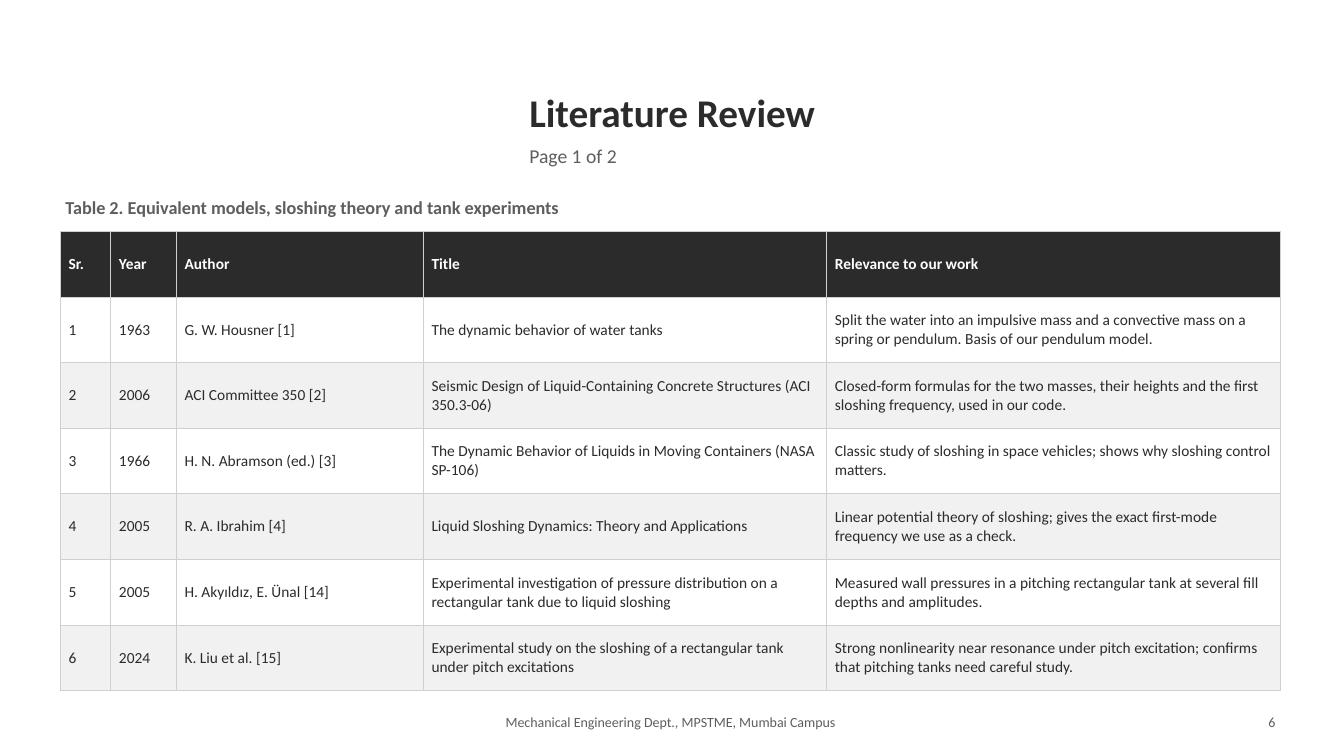
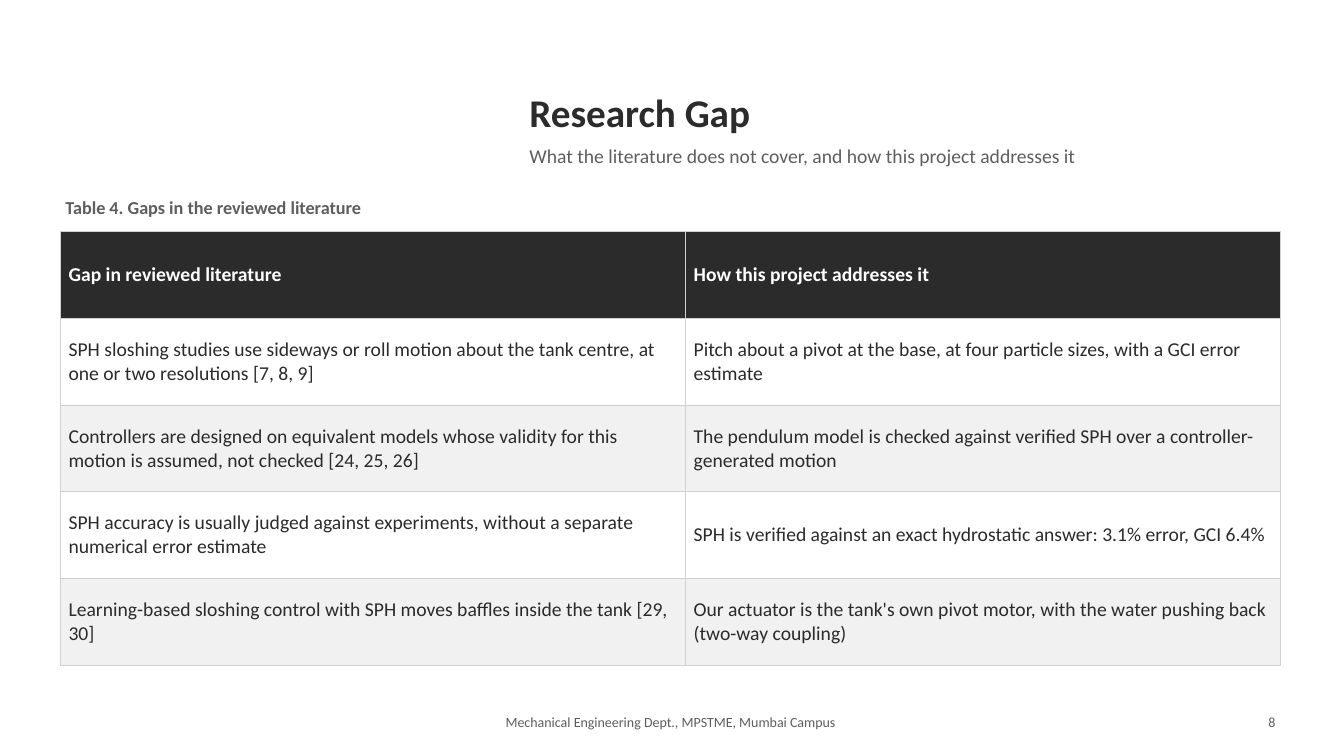
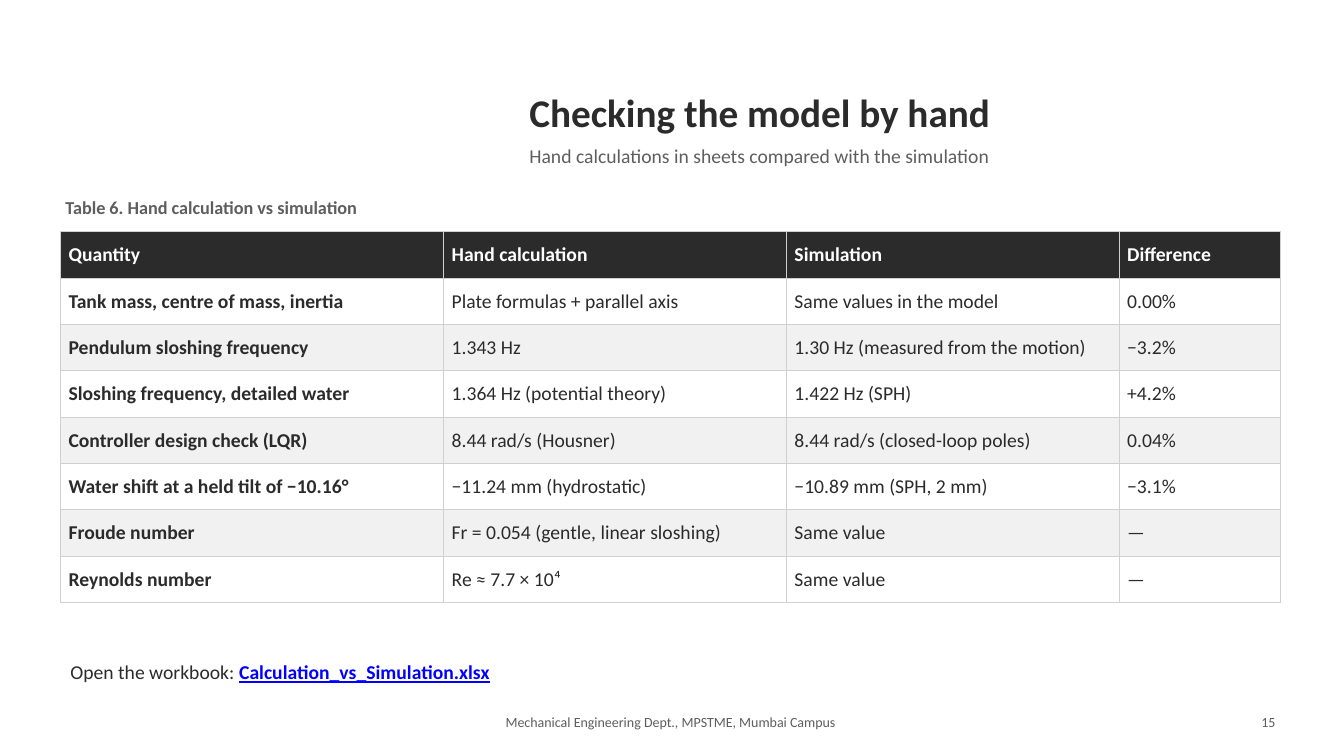
from lxml import etree
from pptx import Presentation
from pptx.dml.color import RGBColor
from pptx.enum.text import MSO_ANCHOR, MSO_AUTO_SIZE, PP_ALIGN
from pptx.oxml.ns import qn
from pptx.util import Pt

PX = 9144
FONT = "Calibri"
HEX = {
    "ink": "2B2B2B",
    "gray": "5E5E5E",
    "white": "FFFFFF",
    "band": "F1F1F1",
    "rule": "D0D0D0",
    "link": "0000FF",
}
DEPT = "Mechanical Engineering Dept., MPSTME, Mumbai Campus"
LEFT, WIDTH = 60, 1210

REVIEW = [
    ("Sr.", "Year", "Author", "Title", "Relevance to our work"),
    ("1", "1963", "G. W. Housner [1]", "The dynamic behavior of water tanks",
     "Split the water into an impulsive mass and a convective mass on a "
     "spring or pendulum. Basis of our pendulum model."),
    ("2", "2006", "ACI Committee 350 [2]",
     "Seismic Design of Liquid-Containing Concrete Structures (ACI 350.3-06)",
     "Closed-form formulas for the two masses, their heights and the first "
     "sloshing frequency, used in our code."),
    ("3", "1966", "H. N. Abramson (ed.) [3]",
     "The Dynamic Behavior of Liquids in Moving Containers (NASA SP-106)",
     "Classic study of sloshing in space vehicles; shows why sloshing "
     "control matters."),
    ("4", "2005", "R. A. Ibrahim [4]",
     "Liquid Sloshing Dynamics: Theory and Applications",
     "Linear potential theory of sloshing; gives the exact first-mode "
     "frequency we use as a check."),
    ("5", "2005", "H. Akyıldız, E. Ünal [14]",
     "Experimental investigation of pressure distribution on a rectangular "
     "tank due to liquid sloshing",
     "Measured wall pressures in a pitching rectangular tank at several "
     "fill depths and amplitudes."),
    ("6", "2024", "K. Liu et al. [15]",
     "Experimental study on the sloshing of a rectangular tank under pitch "
     "excitations",
     "Strong nonlinearity near resonance under pitch excitation; confirms "
     "that pitching tanks need careful study."),
]

GAPS = [
    ("Gap in reviewed literature", "How this project addresses it"),
    ("SPH sloshing studies use sideways or roll motion about the tank "
     "centre, at one or two resolutions [7, 8, 9]",
     "Pitch about a pivot at the base, at four particle sizes, with a GCI "
     "error estimate"),
    ("Controllers are designed on equivalent models whose validity for this "
     "motion is assumed, not checked [24, 25, 26]",
     "The pendulum model is checked against verified SPH over a "
     "controller-generated motion"),
    ("SPH accuracy is usually judged against experiments, without a separate "
     "numerical error estimate",
     "SPH is verified against an exact hydrostatic answer: 3.1% error, "
     "GCI 6.4%"),
    ("Learning-based sloshing control with SPH moves baffles inside the tank "
     "[29, 30]",
     "Our actuator is the tank's own pivot motor, with the water pushing "
     "back (two-way coupling)"),
]

CHECKS = [
    ("Quantity", "Hand calculation", "Simulation", "Difference"),
    ("Tank mass, centre of mass, inertia", "Plate formulas + parallel axis",
     "Same values in the model", "0.00%"),
    ("Pendulum sloshing frequency", "1.343 Hz",
     "1.30 Hz (measured from the motion)", "−3.2%"),
    ("Sloshing frequency, detailed water", "1.364 Hz (potential theory)",
     "1.422 Hz (SPH)", "+4.2%"),
    ("Controller design check (LQR)", "8.44 rad/s (Housner)",
     "8.44 rad/s (closed-loop poles)", "0.04%"),
    ("Water shift at a held tilt of −10.16°", "−11.24 mm (hydrostatic)",
     "−10.89 mm (SPH, 2 mm)", "−3.1%"),
    ("Froude number", "Fr = 0.054 (gentle, linear sloshing)",
     "Same value", "—"),
    ("Reynolds number", "Re ≈ 7.7 × 10⁴", "Same value", "—"),
]


def color(name):
    return RGBColor.from_string(HEX[name])


def style(para, size, ink, bold=False):
    font = para.font
    font.name = FONT
    font.size = Pt(size)
    font.bold = bold
    font.color.rgb = color(ink)


def pad(item, across, down):
    item.margin_left = item.margin_right = across * PX
    item.margin_top = item.margin_bottom = down * PX


def fill_frame(frame, text, size, ink, bold, align):
    frame.word_wrap = True
    frame.auto_size = MSO_AUTO_SIZE.SHAPE_TO_FIT_TEXT
    pad(frame, 5, 5)
    para = frame.paragraphs[0]
    para.text = text
    para.alignment = align
    para.space_after = Pt(6)
    style(para, size, ink, bold)


def add_box(slide, area):
    return slide.shapes.add_textbox(*(n * PX for n in area)).text_frame


def add_text(slide, area, text, size, bold=False, align=PP_ALIGN.LEFT):
    fill_frame(add_box(slide, area), text, size, "gray", bold, align)


def add_title(slide, text):
    title = slide.shapes.title
    title.left, title.top, title.width, title.height = (
        n * PX for n in (520, 80, 775, 62))
    frame = title.text_frame
    fill_frame(frame, text, 28, "ink", True, PP_ALIGN.LEFT)
    frame.vertical_anchor = MSO_ANCHOR.MIDDLE


def add_rules(cell):
    props = cell._tc.get_or_add_tcPr()
    for side in ("lnL", "lnR", "lnT", "lnB"):
        line = etree.SubElement(props, qn("a:" + side), w=str(Pt(0.75)))
        solid = etree.SubElement(line, qn("a:solidFill"))
        etree.SubElement(solid, qn("a:srgbClr"), val=HEX["rule"])


def fill_cell(cell, text, size, ink, back, bold):
    add_rules(cell)
    cell.fill.solid()
    cell.fill.fore_color.rgb = color(back)
    cell.vertical_anchor = MSO_ANCHOR.MIDDLE
    pad(cell, 8, 4)
    para = cell.text_frame.paragraphs[0]
    para.text = text
    style(para, size, ink, bold)


def add_grid(slide, rows, cols, high, size, lead=False):
    frame = slide.shapes.add_table(
        len(rows), len(cols), LEFT * PX, 230 * PX,
        WIDTH * PX, len(rows) * high * PX)
    table = frame.table
    table.horz_banding = False
    for col, wide in zip(table.columns, cols):
        col.width = wide * PX
    for r, row in enumerate(rows):
        table.rows[r].height = high * PX
        head = r == 0
        ink = "white" if head else "ink"
        back = "ink" if head else ("band", "white")[r % 2]
        for c, text in enumerate(row):
            bold = head or (lead and c == 0)
            fill_cell(table.cell(r, c), text, size, ink, back, bold)


def add_page(deck, title, note, label, page):
    slide = deck.slides.add_slide(deck.slide_layouts[5])
    add_title(slide, title)
    add_text(slide, (520, 138, 775, 38), note, 14)
    add_text(slide, (LEFT, 190, WIDTH, 35), label, 13, True)
    add_text(slide, (320, 703, 690, 28), DEPT, 10, align=PP_ALIGN.CENTER)
    add_text(slide, (1190, 703, 80, 28), page, 10, align=PP_ALIGN.RIGHT)
    return slide


def add_link(slide, lead, name):
    frame = add_box(slide, (LEFT, 650, WIDTH, 40))
    frame.word_wrap = True
    para = frame.paragraphs[0]
    style(para, 14, "ink")
    para.add_run().text = lead
    run = para.add_run()
    run.text = name
    run.font.bold = run.font.underline = True
    run.font.color.rgb = color("link")


def main():
    deck = Presentation()
    deck.slide_width, deck.slide_height = 1333 * PX, 750 * PX

    slide = add_page(
        deck, "Literature Review", "Page 1 of 2",
        "Table 2. Equivalent models, sloshing theory and tank experiments",
        "6")
    add_grid(slide, REVIEW, (50, 65, 245, 400, 450), 65, 11)

    slide = add_page(
        deck, "Research Gap",
        "What the literature does not cover, and how this project "
        "addresses it",
        "Table 4. Gaps in the reviewed literature", "8")
    add_grid(slide, GAPS, (620, 590), 86, 14)

    slide = add_page(
        deck, "Checking the model by hand",
        "Hand calculations in sheets compared with the simulation",
        "Table 6. Hand calculation vs simulation", "15")
    add_grid(slide, CHECKS, (380, 340, 330, 160), 46, 14, True)
    add_link(slide, "Open the workbook: ", "Calculation_vs_Simulation.xlsx")

    deck.save("out.pptx")


if __name__ == "__main__":
    main()
